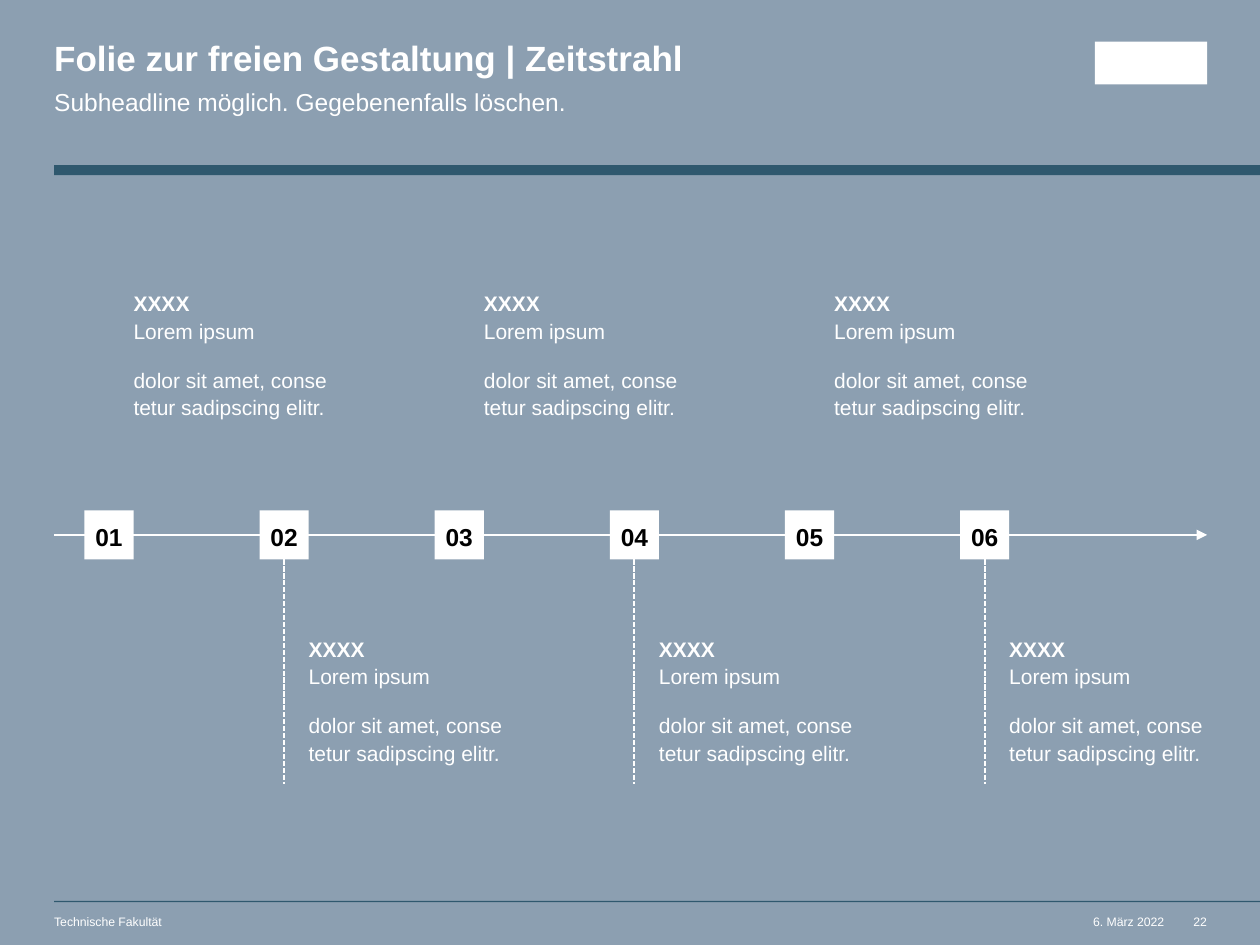
from dataclasses import dataclass

from lxml.etree import SubElement
from pptx import Presentation
from pptx.dml.color import RGBColor
from pptx.enum.dml import MSO_LINE
from pptx.enum.shapes import MSO_CONNECTOR, MSO_SHAPE
from pptx.enum.text import MSO_ANCHOR, MSO_AUTO_SIZE, PP_ALIGN
from pptx.oxml.ns import qn
from pptx.util import Inches, Pt

COLORS = {"ground": "8C9FB1", "bar": "2F586E", "white": "FFFFFF", "black": "000000"}
WIDTH, HEIGHT = 10, 7.5
LEFT, RIGHT = 0.43, 9.58
FIRST_BOX, PITCH, BOX_TOP, BOX_SIZE = 0.67, 1.39, 4.05, 0.39
TEXT_WIDTH, TEXT_HEIGHT, UPPER_TOP, LOWER_TOP, LINE_END = 1.55, 1.04, 2.29, 5.03, 6.22


@dataclass(frozen=True)
class Area:
    """A rectangle on the page, in inches."""

    left: float
    top: float
    width: float
    height: float

    def lengths(self) -> list:
        return [Inches(size) for size in (self.left, self.top, self.width, self.height)]


@dataclass(frozen=True)
class Milestone:
    """A numbered station with its text in lines."""

    column: int
    heading: str = "XXXX"
    lead: str = "Lorem ipsum"
    detail: tuple = ("dolor sit amet, conse", "tetur sadipscing elitr.")

    @property
    def left(self) -> float:
        return FIRST_BOX + self.column * PITCH

    @property
    def is_lower(self) -> bool:
        return self.column % 2 == 1


@dataclass(frozen=True)
class Footer:
    """A small line of text at the foot of the page."""

    text: str
    area: Area
    align: PP_ALIGN


FOOTERS = (
    Footer("6. März 2022", Area(8.53, 7.26, 0.71, 0.12), PP_ALIGN.RIGHT),
    Footer("Technische Fakultät", Area(LEFT, 7.26, 4.49, 0.12), PP_ALIGN.LEFT),
    Footer("22", Area(9.38, 7.26, 0.2, 0.12), PP_ALIGN.RIGHT),
)


def color(name: str) -> RGBColor:
    return RGBColor.from_string(COLORS[name])


def prepare(frame, anchor=MSO_ANCHOR.TOP, wrap: bool = True) -> None:
    frame.margin_left = frame.margin_top = frame.margin_right = frame.margin_bottom = 0
    frame.auto_size = MSO_AUTO_SIZE.NONE
    frame.vertical_anchor = anchor
    frame.word_wrap = wrap


def set_para(para, align=PP_ALIGN.LEFT, spacing: float = 1.0, after: float = 0) -> None:
    para.alignment = align
    para.line_spacing = spacing
    para.space_before = Pt(0)
    para.space_after = Pt(after)


def add_span(para, text: str, size: float, bold: bool = False, ink: str = "white") -> None:
    span = para.add_run()
    span.text = text
    span.font.name = "Arial"
    span.font.size = Pt(size)
    span.font.bold = bold
    span.font.color.rgb = color(ink)


def place(shape, area: Area) -> None:
    shape.left, shape.top, shape.width, shape.height = area.lengths()


def add_box(page, area: Area, fill: str):
    box = page.shapes.add_shape(MSO_SHAPE.RECTANGLE, *area.lengths())
    box.shadow.inherit = False
    box.fill.solid()
    box.fill.fore_color.rgb = color(fill)
    box.line.fill.background()
    return box


def add_line(page, x1: float, y1: float, x2: float, y2: float):
    line = page.shapes.add_connector(
        MSO_CONNECTOR.STRAIGHT, *(Inches(size) for size in (x1, y1, x2, y2))
    )
    line.line.color.rgb = color("white")
    line.line.width = Pt(1)
    return line


def drop_shadow(line) -> None:
    SubElement(line._element.spPr, qn("a:effectLst"))


def add_header(page) -> None:
    title = page.shapes.title
    place(title, Area(LEFT, 0.33, 5.61, 0.3))
    prepare(title.text_frame)
    para = title.text_frame.paragraphs[0]
    set_para(para, spacing=0.9)
    add_span(para, "Folie zur freien Gestaltung | Zeitstrahl", 20, True)

    body = page.placeholders[1]
    place(body, Area(LEFT, 0.67, 5.61, 0.24))
    prepare(body.text_frame)
    body.text_frame.margin_right = Inches(0.39)
    para = body.text_frame.paragraphs[0]
    set_para(para, spacing=1.1, after=8)
    settings = para._p.get_or_add_pPr()
    settings.set("marL", "0")
    settings.set("indent", "0")
    SubElement(settings, qn("a:buNone"))
    add_span(para, "Subheadline möglich. Gegebenenfalls löschen.", 14)


def add_footer(page, footer: Footer) -> None:
    box = page.shapes.add_textbox(*footer.area.lengths())
    prepare(box.text_frame)
    para = box.text_frame.paragraphs[0]
    set_para(para, footer.align)
    add_span(para, footer.text, 7)


def add_axis(page) -> None:
    middle = BOX_TOP + BOX_SIZE / 2
    axis = add_line(page, LEFT, middle, RIGHT, middle)
    SubElement(axis.line._get_or_add_ln(), qn("a:tailEnd"), type="triangle")
    drop_shadow(axis)


def add_milestone(page, stone: Milestone) -> None:
    box = add_box(page, Area(stone.left, BOX_TOP, BOX_SIZE, BOX_SIZE), "white")
    prepare(box.text_frame, MSO_ANCHOR.MIDDLE)
    para = box.text_frame.paragraphs[0]
    set_para(para, PP_ALIGN.CENTER, 1.1, 12)
    add_span(para, f"{stone.column + 1:02}", 14, True, "black")

    top = LOWER_TOP if stone.is_lower else UPPER_TOP
    area = Area(stone.left + BOX_SIZE, top, TEXT_WIDTH, TEXT_HEIGHT)
    frame = page.shapes.add_textbox(*area.lengths()).text_frame
    prepare(frame, wrap=False)
    intro, detail = frame.paragraphs[0], frame.add_paragraph()
    for para in (intro, detail):
        set_para(para, spacing=1.1, after=12)
    add_span(intro, stone.heading, 12, True)
    intro.add_line_break()
    add_span(intro, stone.lead, 12)
    add_span(detail, stone.detail[0], 12)
    detail.add_line_break()
    add_span(detail, stone.detail[1], 12)

    if stone.is_lower:
        center = stone.left + BOX_SIZE / 2
        stem = add_line(page, center, BOX_TOP + BOX_SIZE, center, LINE_END)
        stem.line.dash_style = MSO_LINE.SQUARE_DOT
        stem.begin_connect(box, 2)
        drop_shadow(stem)


def main() -> None:
    """Build the timeline page and save it."""
    deck = Presentation()
    deck.slide_width, deck.slide_height = Inches(WIDTH), Inches(HEIGHT)
    page = deck.slides.add_slide(deck.slide_layouts[1])
    page.background.fill.solid()
    page.background.fill.fore_color.rgb = color("ground")
    add_box(page, Area(LEFT, 7.15, WIDTH - LEFT, 0.01), "bar")
    add_box(page, Area(LEFT, 1.31, WIDTH - LEFT, 0.08), "bar")
    add_box(page, Area(8.69, 0.33, 0.89, 0.34), "white")
    add_header(page)
    for footer in FOOTERS:
        add_footer(page, footer)
    add_axis(page)
    for column in range(6):
        add_milestone(page, Milestone(column))
    deck.save("out.pptx")


if __name__ == "__main__":
    main()
